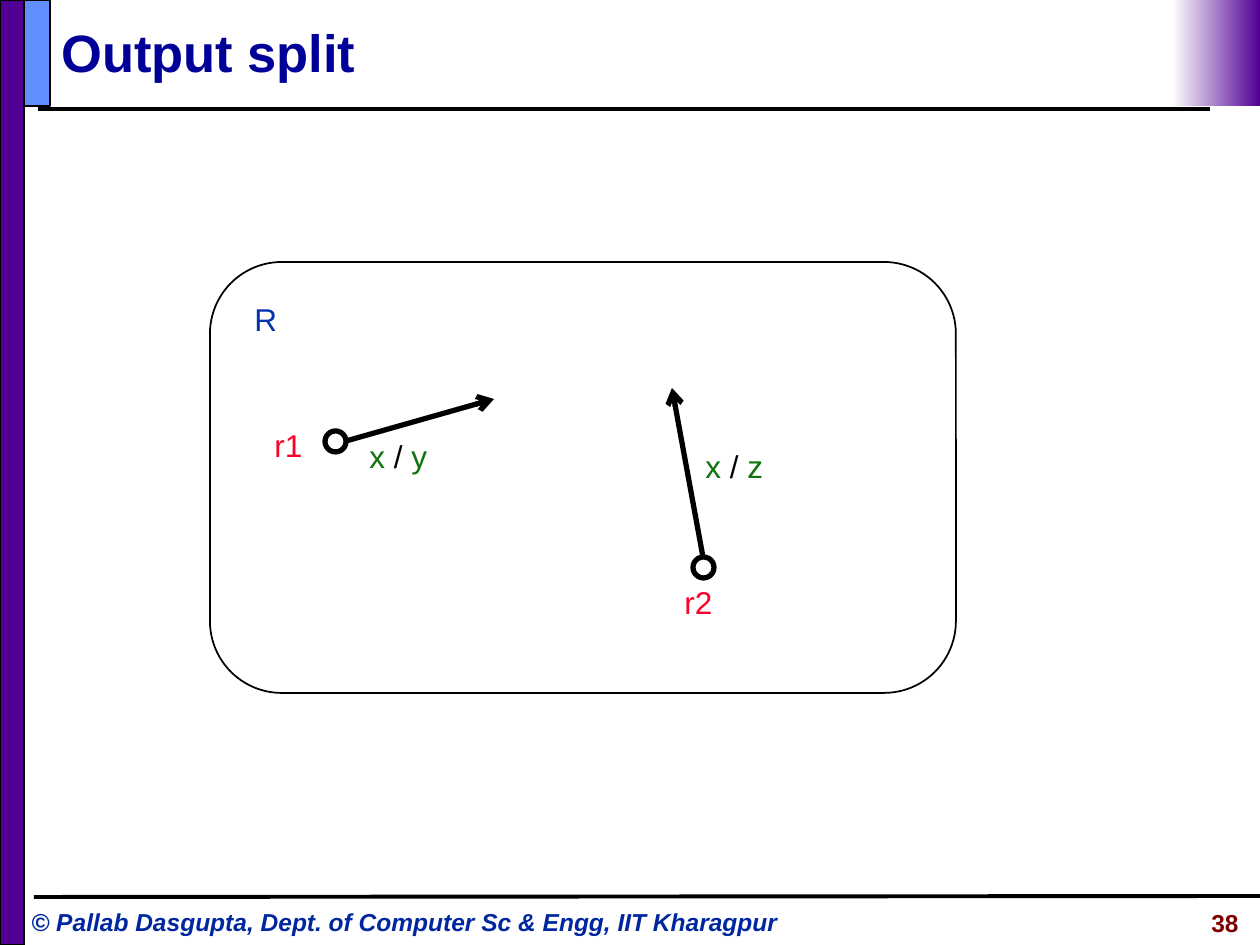
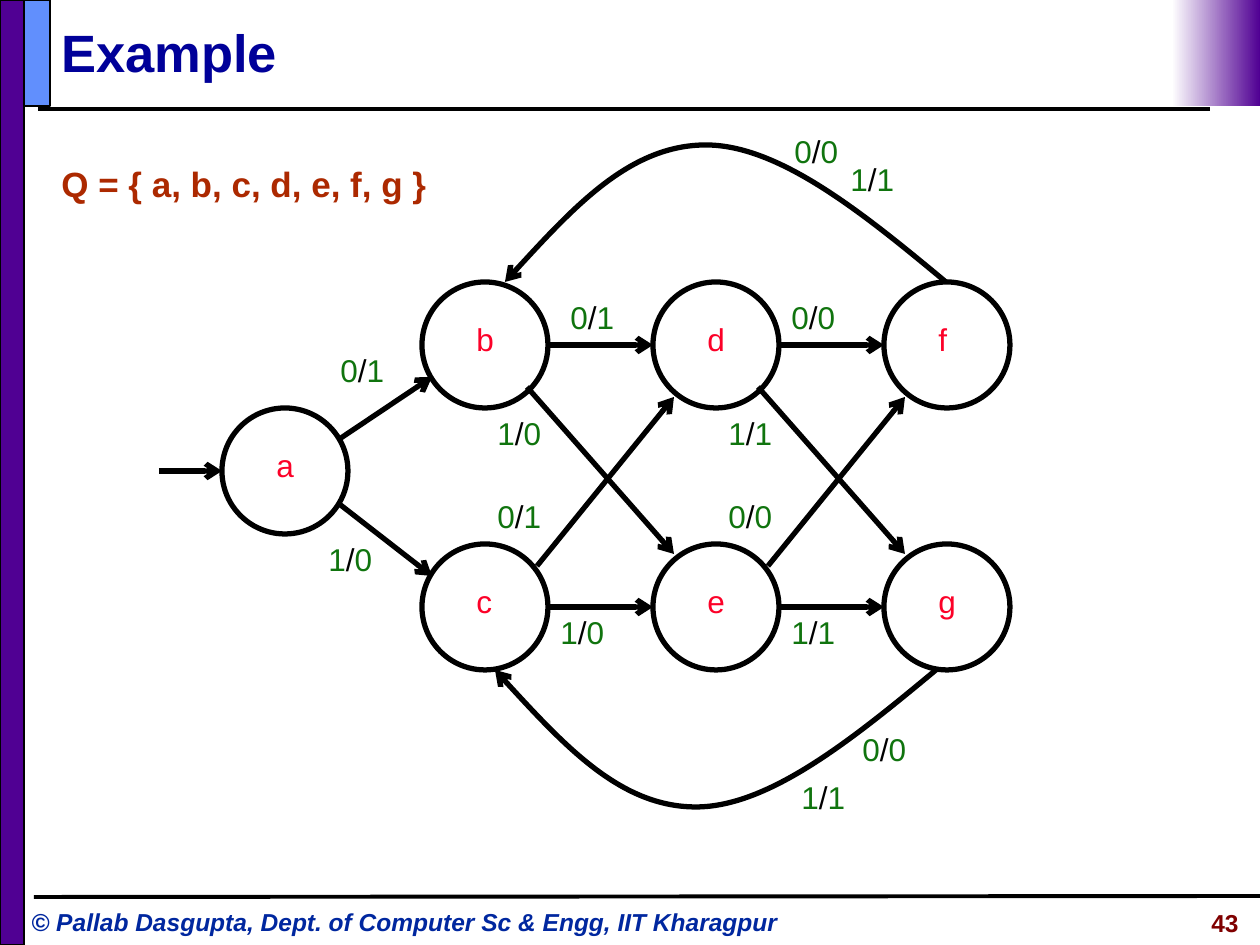
from lxml import etree
from pptx import Presentation
from pptx import util as u
from pptx.dml.color import RGBColor
from pptx.enum import shapes, text
from pptx.oxml.ns import qn

EMU_PER_PX = 914400 / 126
BLACK = RGBColor(0, 0, 0)
PURPLE = RGBColor(0x50, 0x00, 0x93)
SKY = RGBColor(0x61, 0x8F, 0xFD)
WHITE = RGBColor(0xFF, 0xFF, 0xFF)
TITLE_BLUE = RGBColor(0x00, 0x00, 0x99)
FOOTER_BLUE = RGBColor(0x00, 0x27, 0x9F)
REGION_BLUE = RGBColor(0x01, 0x33, 0xAF)
MAROON = RGBColor(0x80, 0x00, 0x00)
RUST = RGBColor(0xAC, 0x29, 0x00)
GREEN = RGBColor(0x10, 0x74, 0x0E)
RED = RGBColor(0xFC, 0x01, 0x28)

TITLE_FORMAT = {"size": u.Pt(30), "bold": True}
FOOTER_FORMAT = {"size": u.Pt(14), "bold": True}
STATE_SET_FORMAT = {"size": u.Pt(20), "bold": True}
LABEL_FORMAT = {"size": u.Pt(18)}


def px(*lengths):
    return [u.Emu(round(length * EMU_PER_PX)) for length in lengths]


def write(slide, box, runs, font_format=LABEL_FORMAT):
    """Place (wording, colour) runs as one paragraph and return its text frame."""
    frame = slide.shapes.add_textbox(*px(*box)).text_frame
    frame.word_wrap = True
    for wording, colour in runs:
        run = frame.paragraphs[0].add_run()
        run.text = wording
        run.font.name = "Arial"
        run.font.color.rgb = colour
        for attribute, value in font_format.items():
            setattr(run.font, attribute, value)
    return frame


# Output split: region R holding two states
REGION = (210, 262, 746, 431)
DOT = 21
split = {
    "title": "Output split",
    "number": "38",
    "circles": [(325, 431, DOT), (693, 557, DOT)],
    "arrows": [(703, 557, 672, 388), (346, 441, 494, 399)],
    "curves": [],
    "names": [("R", 242, 294, REGION_BLUE), ("r1", 262, 420, RED), ("r2", 672, 577, RED)],
    "transitions": [("x / z", 693, 441), ("x / y", 357, 431)],
}

# Example: start state a, then three columns of two states
STATE, COLUMN_STEP = 126, 231
UPPER, LOWER = 282, 544
states = [("a", 222, 408)]
for column, pair in enumerate(("bc", "de", "fg")):
    for state, top in zip(pair, (UPPER, LOWER)):
        states.append((state, 422 + column * COLUMN_STEP, top))

moves = [(159, 471, 222, 471), (338, 440, 432, 377), (338, 503, 432, 576)]
for shift in (0, COLUMN_STEP):
    for x1, y1, x2, y2 in [(548, 345, 653, 345), (527, 387, 674, 554),
                           (537, 566, 674, 397), (548, 607, 653, 607)]:
        moves.append((x1 + shift, y1, x2 + shift, y2))

return_to_b = [(946, 282), (863, 213), (779, 145), (706, 145),
               (631, 145), (568, 213), (505, 282)]
return_to_c = [(x - 10, 952 - y) for x, y in return_to_b]

outputs = {
    "0/1": [(328, 345), (558, 292), (485, 491)],
    "1/0": [(316, 534), (485, 408), (548, 607)],
    "0/0": [(779, 292), (716, 491), (782, 126), (850, 724)],
    "1/1": [(838, 154), (716, 408), (779, 607), (789, 772)],
}
example = {
    "title": "Example",
    "number": "43",
    "circles": [(x, y, STATE) for _, x, y in states],
    "arrows": moves,
    "curves": [return_to_b, return_to_c],
    "names": [(state, x + 42, y + 32, RED) for state, x, y in states],
    "transitions": [(output, x, y) for output, spots in outputs.items() for x, y in spots],
}

prs = Presentation()
prs.slide_width, prs.slide_height = px(1260, 945)

for content in (split, example):
    slide = prs.slides.add_slide(prs.slide_layouts[6])

    # Bands
    for box, colour in [((0, 0, 24, 945), PURPLE), ((24, 0, 26, 106), SKY)]:
        band = slide.shapes.add_shape(shapes.MSO_SHAPE.RECTANGLE, *px(*box))
        band.shadow.inherit = False
        band.fill.solid()
        band.fill.fore_color.rgb = colour
        band.line.color.rgb = BLACK
        band.line.width = u.Pt(1)
    fade = slide.shapes.add_shape(shapes.MSO_SHAPE.RECTANGLE, *px(1172, 0, 88, 106))
    fade.shadow.inherit = False
    fade.line.fill.background()
    fade.fill.gradient()
    fade.fill.gradient_angle = 180
    for stop, colour in zip(fade.fill.gradient_stops, (PURPLE, WHITE)):
        stop.color.rgb = colour

    # Outlines: the region and the states
    outlines = [(shapes.MSO_SHAPE.OVAL, (x, y, size, size), 3)
                for x, y, size in content["circles"]]
    if content is split:
        outlines.insert(0, (shapes.MSO_SHAPE.ROUNDED_RECTANGLE, REGION, 1))
    for kind, box, weight in outlines:
        outline = slide.shapes.add_shape(kind, *px(*box))
        outline.shadow.inherit = False
        outline.fill.background()
        outline.line.color.rgb = BLACK
        outline.line.width = u.Pt(weight)

    # Rules and straight arrows
    strokes = [((38, 109, 1210, 109), 2.25, False), ((34, 897, 1260, 896), 2.25, False)]
    strokes += [(ends, 3, True) for ends in content["arrows"]]
    for ends, weight, pointed in strokes:
        stroke = slide.shapes.add_connector(shapes.MSO_CONNECTOR.STRAIGHT, *px(*ends))
        stroke.line.color.rgb = BLACK
        stroke.line.width = u.Pt(weight)
        if pointed:
            etree.SubElement(stroke.line._get_or_add_ln(), qn("a:tailEnd"), type="arrow")
        etree.SubElement(stroke._element.spPr, qn("a:effectLst"))

    # Curved arrows: each three line segments become one Bézier segment
    for points in content["curves"]:
        builder = slide.shapes.build_freeform(*points[0], scale=EMU_PER_PX)
        builder.add_line_segments(points[1:], close=False)
        curve = builder.convert_to_shape()
        curve.shadow.inherit = False
        curve.fill.background()
        curve.line.color.rgb = BLACK
        curve.line.width = u.Pt(3)
        etree.SubElement(curve.line._get_or_add_ln(), qn("a:tailEnd"), type="arrow")
        segments = list(curve._element.iter(qn("a:lnTo")))
        outline_path = segments[0].getparent()
        for first in range(0, len(segments), 3):
            bezier = etree.SubElement(outline_path, qn("a:cubicBezTo"))
            for segment in segments[first:first + 3]:
                bezier.append(segment[0])
                outline_path.remove(segment)

    # Wording
    for name, x, y, colour in content["names"]:
        write(slide, (x, y, 74, 50), [(name, colour)])
    for transition, x, y in content["transitions"]:
        runs = zip(transition.partition("/"), (GREEN, BLACK, GREEN))
        write(slide, (x, y, 105, 50), runs)
    if content is example:
        write(slide, (49, 156, 504, 55), [("Q = { a, b, c, d, e, f, g }", RUST)],
              STATE_SET_FORMAT)

    title = write(slide, (49, 13, 1147, 77), [(content["title"], TITLE_BLUE)], TITLE_FORMAT)
    title.vertical_anchor = text.MSO_ANCHOR.MIDDLE
    write(slide, (19, 901, 803, 43),
          [("© Pallab Dasgupta, Dept. of Computer Sc & Engg, IIT Kharagpur", FOOTER_BLUE)],
          {**FOOTER_FORMAT, "italic": True})
    number = write(slide, (1031, 902, 220, 43), [(content["number"], MAROON)], FOOTER_FORMAT)
    number.paragraphs[0].alignment = text.PP_ALIGN.RIGHT

prs.save("out.pptx")
